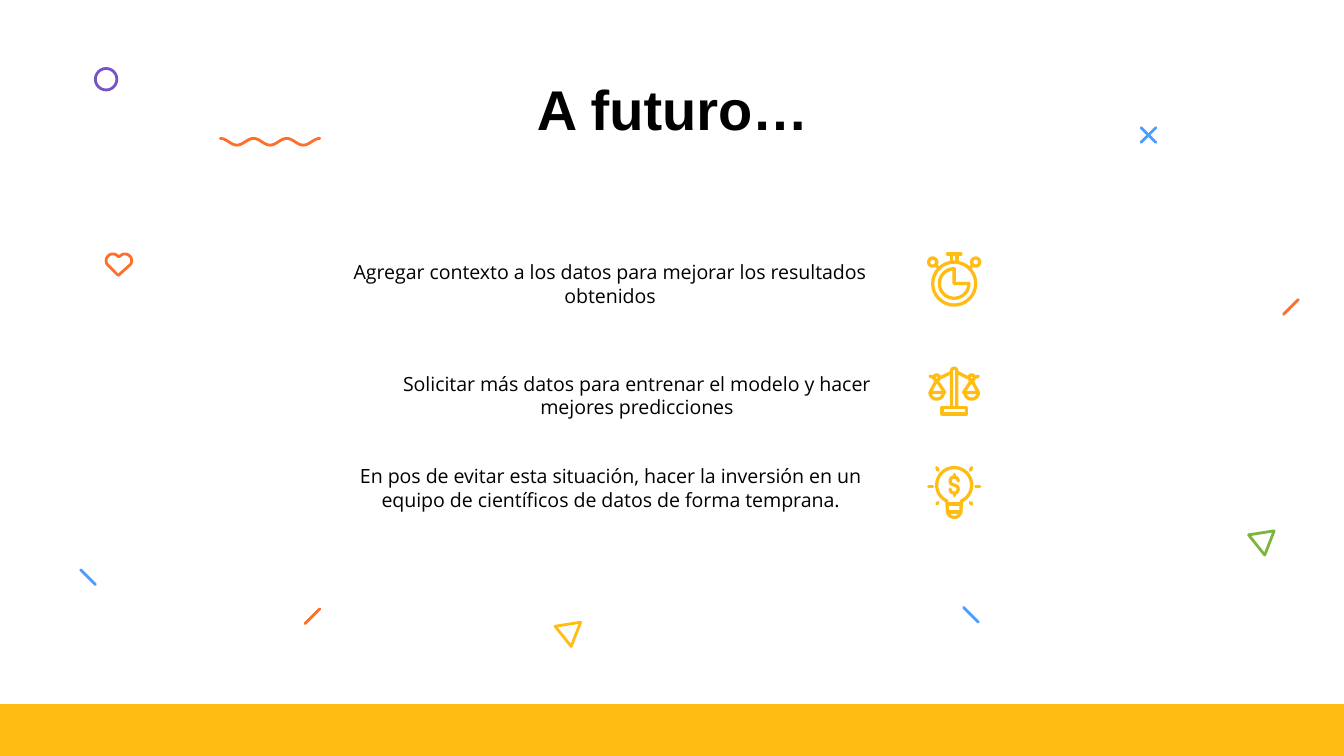
import math

import pptx
import pptx.dml.color
import pptx.enum.shapes
import pptx.enum.text
import pptx.oxml
import pptx.util
from pptx.util import Inches

SLIDE_WIDTH = 10
SLIDE_HEIGHT = SLIDE_WIDTH * 9 / 16
BAND_TOP = 5.24
AMBER, ORANGE, BLUE, GREEN, PURPLE = "FFBC12", "FF6F29", "4D9DFF", "7CB53E", "7753C7"
AXIS = 7.1
ICON_LINE = 1.75

TITLE = "A futuro…"
IDEAS = [
    ("Agregar contexto a los datos para mejorar los resultados obtenidos", 2.29, 1.91, 4.5),
    ("Solicitar más datos para entrenar el modelo y hacer mejores predicciones", 2.74, 2.74, 4),
    ("En pos de evitar esta situación, hacer la inversión en un equipo de científicos "
     "de datos de forma temprana.", 2.35, 3.43, 4.39),
]
DASHES = [
    (9.66, 2.23, -1, ORANGE), (2.38, 4.53, -1, ORANGE), (8.6, 0.95, -1, BLUE),
    (8.49, 0.95, 1, BLUE), (7.17, 4.52, 1, BLUE), (0.6, 4.24, 1, BLUE),
]
DASH_SIZE = 0.11
TRIANGLES = [(4.13, 4.63, AMBER), (9.29, 3.95, GREEN)]


def arc(x, y, radius, start=0, end=360):
    steps = 32
    angles = [math.radians(start + (end - start) * i / steps) for i in range(steps + 1)]
    return [(x + radius * math.cos(a), y + radius * math.sin(a)) for a in angles]


def both_sides(*contours):
    mirrored = [[(2 * AXIS - x, y) for x, y in contour] for contour in contours]
    return list(contours) + mirrored


def box(left, top, right, bottom):
    return [(left, top), (right, top), (right, bottom), (left, bottom), (left, top)]


WAVE = [(1.64 + 0.74 * i / 72, 1.055 - 0.025 * math.cos(math.pi * i / 12)) for i in range(73)]
HEART_LEFT = arc(0.84, 1.94, 0.05, 145, 320)
HEART_RIGHT = arc(0.93, 1.94, 0.05, 220, 395)
HEART = HEART_LEFT + HEART_RIGHT + [(0.88, 2.05), HEART_LEFT[0]]

STOPWATCH = [
    arc(AXIS, 2.11, 0.16),
    [(7.05, 1.89), (7.15, 1.89)],
] + both_sides(
    arc(6.94, 1.95, 0.03),
    [(6.96, 1.97), (6.99, 2)],
    [(7.08, 1.89), (7.08, 1.95)],
)
DIAL = [[(AXIS, 2.11)] + arc(AXIS, 2.11, 0.11, 0, 270) + [(AXIS, 2.11)]]
SCALES = [
    [(7.08, 3.03)] + arc(AXIS, 2.76, 0.02, 180, 360) + [(7.12, 3.03)],
    box(7.01, 3.03, 7.19, 3.08),
] + both_sides(
    arc(6.97, 2.81, 0.02),
    [(6.97, 2.83), (6.92, 2.92), (7.03, 2.92), (6.97, 2.83)],
    arc(6.97, 2.92, 0.05, 0, 180),
    [(6.92, 2.8), (6.95, 2.81)],
    [(7, 2.81), (7.08, 2.77)],
)
BULB = [
    [(7.05, 3.8)] + arc(AXIS, 3.61, 0.13, 115, 425) + arc(AXIS, 3.8, 0.05, 0, 180),
    [(7.05, 3.75), (7.15, 3.75)],
    [(7.05, 3.81), (7.15, 3.81)],
]
DOLLAR = [
    arc(AXIS, 3.58, 0.03, 0, -225) + arc(AXIS, 3.64, 0.03, -45, 180),
    [(AXIS, 3.53), (AXIS, 3.55)],
    [(AXIS, 3.67), (AXIS, 3.69)],
]
RAYS = both_sides(
    [(6.91, 3.62), (6.94, 3.62)],
    [(6.97, 3.48), (6.98, 3.5)],
    [(6.97, 3.75), (6.98, 3.74)],
)


def color(value):
    return pptx.dml.color.RGBColor.from_string(value)


def style_line(shape, value, width=1.5):
    shape.line.color.rgb = color(value)
    shape.line.width = pptx.util.Pt(width)
    shape.line._get_or_add_ln().set("cap", "rnd")


def draw_outline(slide, contours, value, width=1.5):
    contours = [[(Inches(x), Inches(y)) for x, y in contour] for contour in contours]
    builder = slide.shapes.build_freeform(*contours[0][0])
    for index, contour in enumerate(contours):
        if index:
            builder.move_to(*contour[0])
        builder.add_line_segments(contour[1:], close=contour[0] == contour[-1])
    shape = builder.convert_to_shape()
    shape.shadow.inherit = False
    shape.fill.background()
    style_line(shape, value, width)


def draw_dash(slide, x, y, direction, value):
    connector = slide.shapes.add_connector(
        pptx.enum.shapes.MSO_CONNECTOR.STRAIGHT, Inches(x), Inches(y),
        Inches(x + direction * DASH_SIZE), Inches(y + DASH_SIZE))
    style_line(connector, value)
    connector._element.spPr.append(pptx.oxml.parse_xml(
        '<a:effectLst xmlns:a="http://schemas.openxmlformats.org/drawingml/2006/main"/>'))


def write(shape, text, font_name, size, bold=False):
    frame = shape.text_frame
    frame.word_wrap = True
    frame.auto_size = pptx.enum.text.MSO_AUTO_SIZE.NONE
    frame.vertical_anchor = pptx.enum.text.MSO_ANCHOR.MIDDLE
    frame.margin_left = frame.margin_right = Inches(0.1)
    frame.margin_top = frame.margin_bottom = Inches(0.1)
    paragraph = frame.paragraphs[0]
    paragraph.text = text
    paragraph.alignment = pptx.enum.text.PP_ALIGN.CENTER
    paragraph.font.name = font_name
    paragraph.font.size = pptx.util.Pt(size)
    paragraph.font.bold = bold
    paragraph.font.color.rgb = color("000000")


def main():
    presentation = pptx.Presentation()
    presentation.slide_width = Inches(SLIDE_WIDTH)
    presentation.slide_height = Inches(SLIDE_HEIGHT)
    slide = presentation.slides.add_slide(presentation.slide_layouts[5])

    band = slide.shapes.add_shape(
        pptx.enum.shapes.MSO_SHAPE.RECTANGLE, 0, Inches(BAND_TOP),
        Inches(SLIDE_WIDTH), Inches(SLIDE_HEIGHT - BAND_TOP))
    band.shadow.inherit = False
    band.fill.solid()
    band.fill.fore_color.rgb = color(AMBER)
    band.line.fill.background()

    circle = slide.shapes.add_shape(
        pptx.enum.shapes.MSO_SHAPE.OVAL, Inches(0.71), Inches(0.51), Inches(0.16), Inches(0.16))
    circle.shadow.inherit = False
    circle.fill.background()
    style_line(circle, PURPLE)

    for dash in DASHES:
        draw_dash(slide, *dash)
    for x, y, value in TRIANGLES:
        corners = [(x + 0.19, y), (x, y + 0.03), (x + 0.12, y + 0.18), (x + 0.19, y)]
        draw_outline(slide, [corners], value)
    for contour in (WAVE, HEART):
        draw_outline(slide, [contour], ORANGE)

    title = slide.shapes.title
    title.left, title.top = Inches(0.79), Inches(0.49)
    title.width, title.height = Inches(8.43), Inches(0.63)
    write(title, TITLE, "Arial", 30, bold=True)

    for text, left, top, width in IDEAS:
        text_box = slide.shapes.add_textbox(Inches(left), Inches(top), Inches(width), Inches(0.4))
        write(text_box, text, "Open Sans", 10.5)

    for icon in (STOPWATCH, DIAL, SCALES, BULB, DOLLAR, RAYS):
        draw_outline(slide, icon, AMBER, ICON_LINE)

    presentation.save("out.pptx")


if __name__ == "__main__":
    main()
